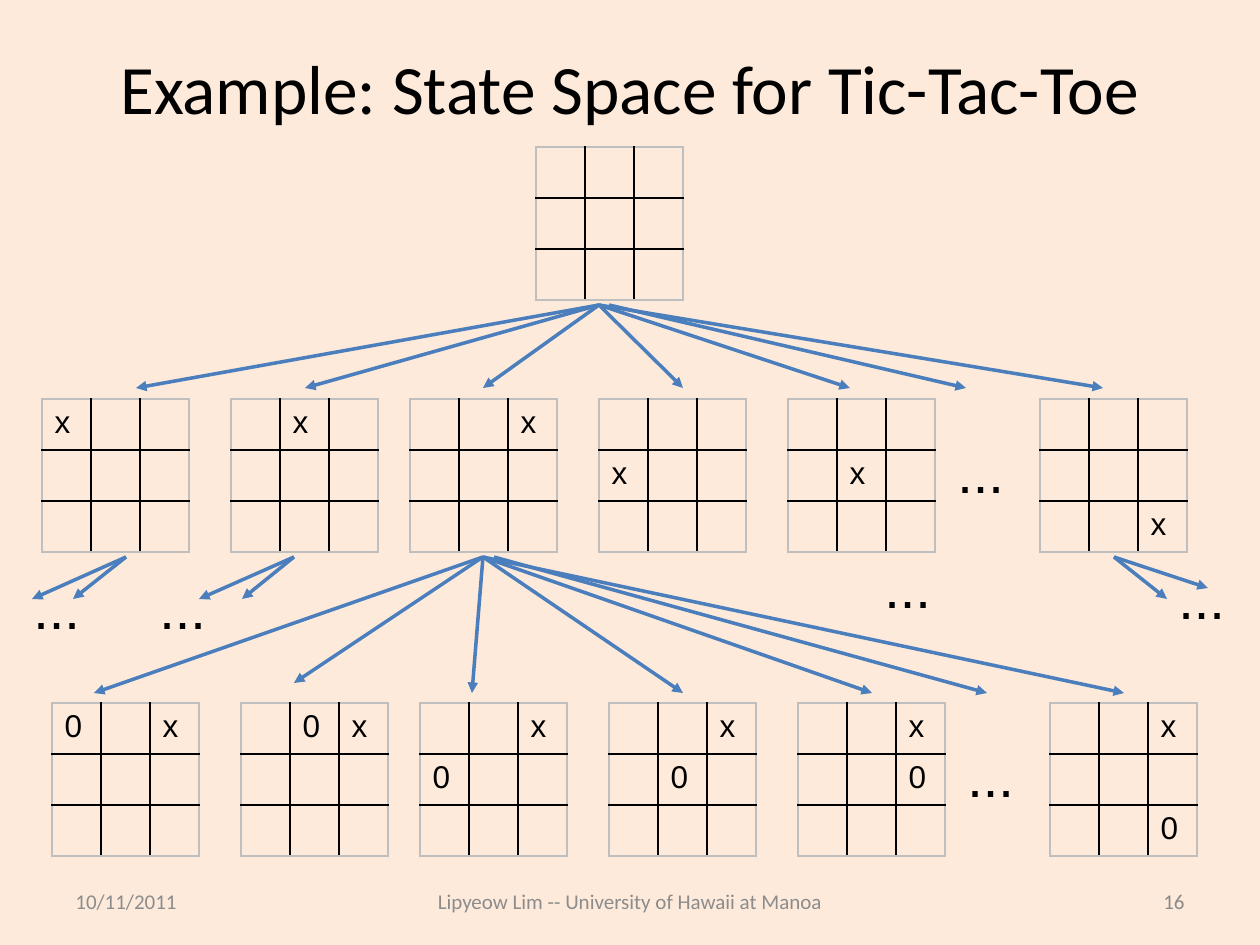
import pptx
import pptx.util
import pptx.dml.color
import pptx.enum.shapes
import pptx.enum.text
import pptx.oxml
import pptx.oxml.ns
import lxml.etree

PX = 914400 / 126
INK = {"back": "FDEADA", "text": "000000", "foot": "8C8C8C", "page": "898989",
       "arrow": "4B7EBC", "edge": "BFBFBF"}
COL, ROW = 49, 51
align = pptx.enum.text.PP_ALIGN
anchor = pptx.enum.text.MSO_ANCHOR
rgb = pptx.dml.color.RGBColor.from_string


def emu(*nums):
    return [pptx.util.Emu(round(n * PX)) for n in nums]


def write(frame, text, size=18, font="Arial", ink="text", side=align.LEFT,
          mid=False, wrap=True):
    frame.word_wrap = wrap
    frame.vertical_anchor = anchor.MIDDLE if mid else anchor.TOP
    para = frame.paragraphs[0]
    para.alignment = side
    run = para.add_run()
    run.text = text
    run.font.size = pptx.util.Pt(size)
    run.font.name = font
    run.font.color.rgb = rgb(INK[ink])


deck = pptx.Presentation()
deck.slide_width, deck.slide_height = emu(1260, 945)
slide = deck.slides.add_slide(deck.slide_layouts[5])
slide.background.fill.solid()
slide.background.fill.fore_color.rgb = rgb(INK["back"])
shapes = slide.shapes

# Title
title = shapes.title
title.left, title.top, title.width, title.height = emu(63, 38, 1134, 98)
write(title.text_frame, "Example: State Space for Tic-Tac-Toe", size=39.6,
      font="Calibri", side=align.CENTER, mid=True)

# Footer
for left, width, text, side, ink in [
    (63, 294, "10/11/2011", align.LEFT, "foot"),
    (378, 504, "Lipyeow Lim -- University of Hawaii at Manoa", align.CENTER, "foot"),
    (903, 294, "16", align.RIGHT, "page"),
]:
    box = shapes.add_textbox(*emu(left, 876, width, 50))
    write(box.text_frame, text, size=12, font="Calibri", ink=ink, side=side, mid=True)

# Boards: left, top and the marks by (row, column)
first = [(0, 0), (0, 1), (0, 2), (1, 0), (1, 1), (2, 2)]
reply = [(0, 0), (0, 1), (1, 0), (1, 1), (1, 2), (2, 2)]
lefts = [42, 231, 410, 599, 788, 1040]
boards = [(536, 147, {})]
boards += [(x, 399, {spot: "x"}) for x, spot in zip(lefts, first)]
boards += [(x + 10, 703, {(0, 2): "x", spot: "0"}) for x, spot in zip(lefts, reply)]

for left, top, marks in boards:
    grid = shapes.add_table(3, 3, *emu(left, top, 3 * COL, 3 * ROW)).table
    grid.first_row = grid.horz_banding = False
    for i in range(3):
        grid.columns[i].width, grid.rows[i].height = emu(COL, ROW)
    for r in range(3):
        for c in range(3):
            cell = grid.cell(r, c)
            props = cell._tc.get_or_add_tcPr()
            # Black inside lines, pale outer edge
            for tag, outer in [("L", c == 0), ("R", c == 2),
                               ("T", r == 0), ("B", r == 2)]:
                props.append(pptx.oxml.parse_xml(
                    f'<a:ln{tag} {pptx.oxml.ns.nsdecls("a")} w="12700"><a:solidFill>'
                    f'<a:srgbClr val="{INK["edge" if outer else "text"]}"/>'
                    f'</a:solidFill></a:ln{tag}>'))
            cell.fill.background()
            if (r, c) in marks:
                write(cell.text_frame, marks[r, c])

# Arrows: each start with its ends
fans = [
    ((599, 305), [(136, 388), (305, 388), (483, 388), (683, 388), (850, 388), (1103, 388)]),
    ((609, 305), [(966, 388)]),
    ((483, 557), [(94, 693), (294, 683), (472, 693), (683, 693), (872, 693), (1124, 693)]),
    ((494, 557), [(987, 693)]),
    ((126, 557), [(32, 599), (73, 599)]),
    ((294, 557), [(199, 599), (242, 599)]),
    ((1114, 557), [(1167, 599), (1208, 588)]),
]
for start, ends in fans:
    for end in ends:
        line = shapes.add_connector(pptx.enum.shapes.MSO_CONNECTOR.STRAIGHT,
                                    *emu(*start, *end))
        line.line.color.rgb = rgb(INK["arrow"])
        line.line.width = pptx.util.Pt(2)
        tail = lxml.etree.SubElement(line.line._get_or_add_ln(),
                                     pptx.oxml.ns.qn("a:tailEnd"))
        tail.set("type", "triangle")
        lxml.etree.SubElement(line._element.spPr, pptx.oxml.ns.qn("a:effectLst"))

# Dots for the states left out
for left, top in [(945, 431), (955, 735), (21, 567), (147, 567), (1166, 557), (872, 546)]:
    box = shapes.add_textbox(*emu(left, top, 73, 81))
    write(box.text_frame, "...", size=32, wrap=False)

deck.save("out.pptx")
